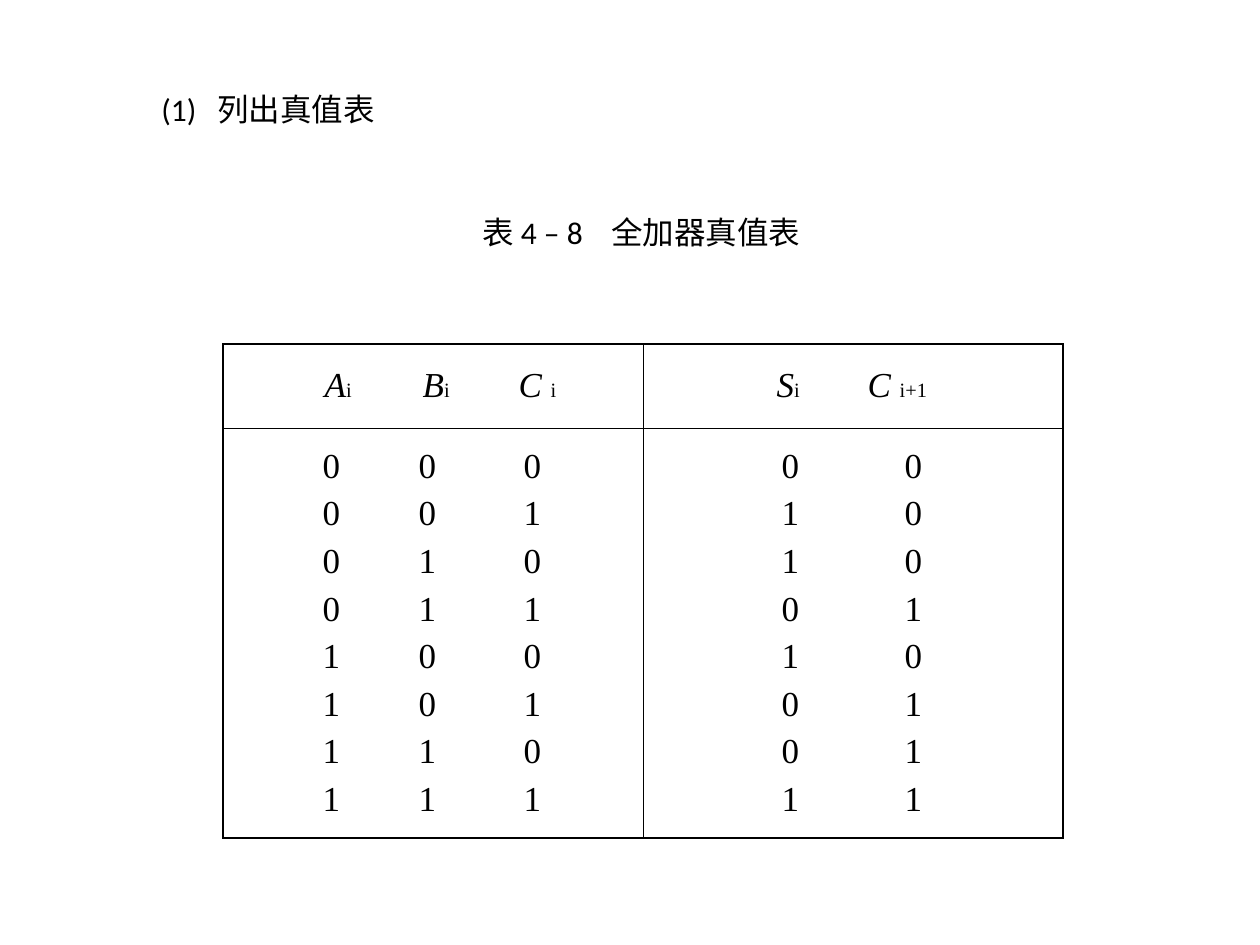
from dataclasses import dataclass

from lxml import etree
from pptx import Presentation
from pptx.dml.color import RGBColor
from pptx.enum.text import MSO_ANCHOR, MSO_AUTO_SIZE
from pptx.oxml.ns import qn
from pptx.util import Emu, Pt

PX = 914400 // 126
BLACK = RGBColor(0, 0, 0)
MIDDLE = MSO_ANCHOR.MIDDLE
GROW = MSO_AUTO_SIZE.SHAPE_TO_FIT_TEXT
LABEL_FONT, TABLE_FONT = "Calibri", "Times New Roman"
OUTER, INNER = Pt(1.08), Pt(0.45)
ROW_HEIGHTS = (84, 410)
COLUMN_WIDTH = 420


@dataclass(frozen=True)
class Label:
    text: str
    x: int
    y: int
    w: int
    h: int
    tab: int


@dataclass(frozen=True)
class Half:
    """One side of the truth table; tab stops count from the cell's text edge."""
    heads: tuple[tuple[str, str], ...]
    head_tabs: tuple[int, ...]
    rows: tuple[str, ...]
    row_tabs: tuple[int, ...]


LABELS = (
    Label("表 4 – 8\t全加器真值表", 470, 207, 350, 50, 129),
    Label("(1)\t列出真值表", 149, 84, 239, 50, 56),
)
INPUTS = tuple(f"{n:03b}" for n in range(8))
OUTPUTS = tuple(f"{n % 2}{n // 2}" for n in (bits.count("1") for bits in INPUTS))
HALVES = (
    Half((("A", "i"), ("B", "i"), ("C ", "i")), (89, 187, 283), INPUTS, (87, 183, 288)),
    Half((("S", "i"), ("C ", "i+1")), (121, 212), OUTPUTS, (126, 249)),
)


def px(n: int) -> Emu:
    return Emu(n * PX)


def set_tabs(p, stops: tuple[int, ...]) -> None:
    tabs = etree.SubElement(p._p.get_or_add_pPr(), qn("a:tabLst"))
    for stop in stops:
        etree.SubElement(tabs, qn("a:tab"), pos=str(px(stop)), algn="l")


def add_run(p, text: str, name: str, size: int, italic: bool = False,
            baseline: int = 0) -> None:
    r = p.add_run()
    r.text = text
    for key, value in {"name": name, "size": Pt(size), "italic": italic,
                       "bold": False}.items():
        setattr(r.font, key, value)
    r.font.color.rgb = BLACK
    if baseline:
        r.font._element.set("baseline", str(baseline))


def add_label(slide, label: Label) -> None:
    sp = slide.shapes.add_textbox(*map(px, (label.x, label.y, label.w, label.h)))
    tf = sp.text_frame
    tf.word_wrap = False
    tf.auto_size = GROW
    p = tf.paragraphs[0]
    set_tabs(p, (label.tab,))
    add_run(p, label.text, LABEL_FONT, 18)


def set_borders(cell, widths: dict[str, int]) -> None:
    tc_pr = cell._tc.get_or_add_tcPr()
    for side, width in widths.items():
        ln = etree.SubElement(tc_pr, qn(f"a:ln{side}"), w=str(width))
        fill = etree.SubElement(ln, qn("a:solidFill"))
        etree.SubElement(fill, qn("a:srgbClr"), val=str(BLACK))


def fill_head(cell, half: Half) -> None:
    p = cell.text_frame.paragraphs[0]
    set_tabs(p, half.head_tabs)
    for letter, index in half.heads:
        add_run(p, "\t" + letter, TABLE_FONT, 20, italic=True)
        add_run(p, index, TABLE_FONT, 20, baseline=-25)


def fill_body(cell, half: Half) -> None:
    tf = cell.text_frame
    for i, bits in enumerate(half.rows):
        p = tf.add_paragraph() if i else tf.paragraphs[0]
        set_tabs(p, half.row_tabs)
        if i:
            p.space_before = Pt(5)
        add_run(p, "".join("\t" + bit for bit in bits), TABLE_FONT, 20)


def add_truth_table(slide, x: int, y: int) -> None:
    frame = slide.shapes.add_table(len(ROW_HEIGHTS), len(HALVES), px(x), px(y),
                                   px(COLUMN_WIDTH * len(HALVES)),
                                   px(sum(ROW_HEIGHTS)))
    table = frame.table
    table.first_row = table.horz_banding = False
    for row, height in zip(table.rows, ROW_HEIGHTS):
        row.height = px(height)
    for c, half in enumerate(HALVES):
        table.columns[c].width = px(COLUMN_WIDTH)
        for r, fill_cell in enumerate((fill_head, fill_body)):
            cell = table.cell(r, c)
            set_borders(cell, {"L": INNER if c else OUTER, "R": OUTER if c else INNER,
                               "T": INNER if r else OUTER, "B": OUTER if r else INNER})
            cell.fill.background()
            cell.vertical_anchor = MIDDLE
            fill_cell(cell, half)


def main() -> None:
    prs = Presentation()
    prs.slide_width, prs.slide_height = px(1260), px(945)
    slide = prs.slides.add_slide(prs.slide_layouts[6])
    add_truth_table(slide, 223, 344)
    for label in LABELS:
        add_label(slide, label)
    prs.save("out.pptx")


if __name__ == "__main__":
    main()
